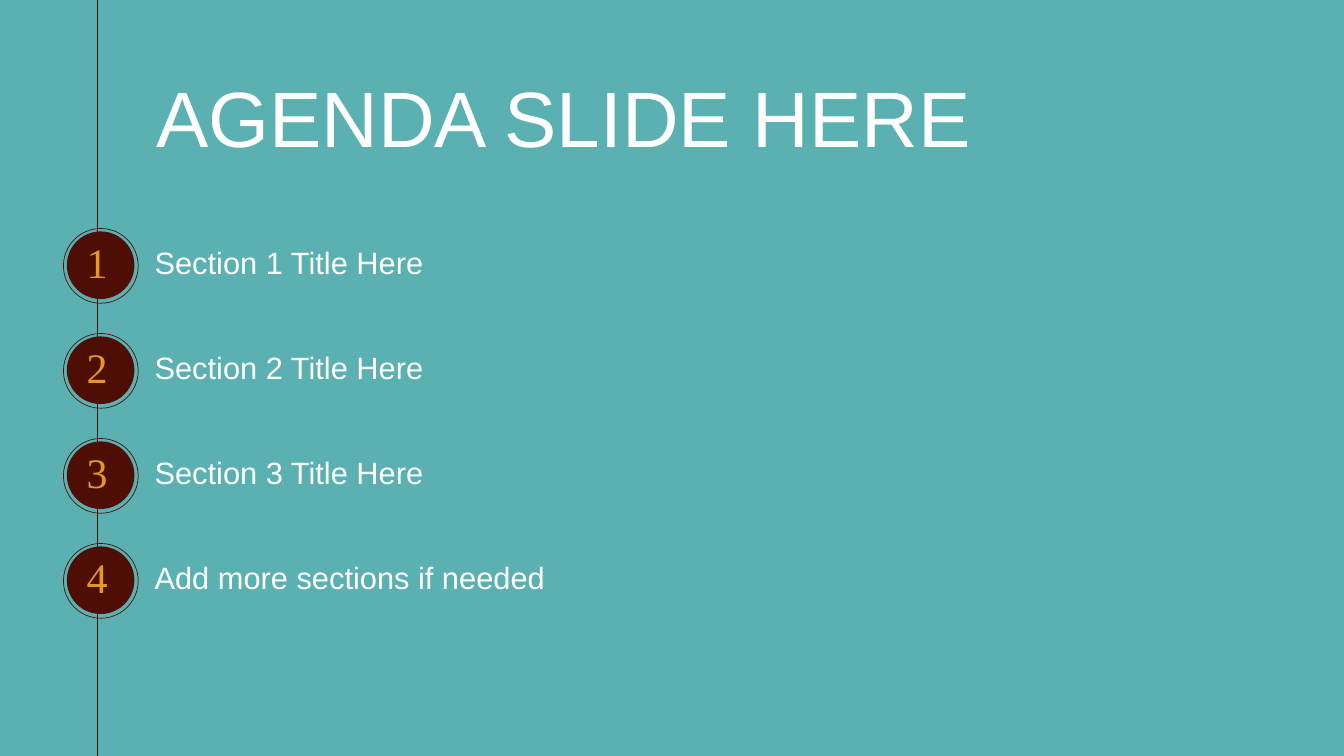
from dataclasses import dataclass

import pptx
import pptx.dml.color
import pptx.enum.shapes
import pptx.enum.text
import pptx.util
from lxml import etree
from pptx.oxml.ns import qn

EMU_PER_PX = 7620  # 120 px to the inch
SLIDE_WIDTH, SLIDE_HEIGHT = 3199, 1800
ROW_PITCH = 250
COLORS = {"teal": "5BB0B2", "maroon": "4E0E05", "amber": "E39920", "white": "FFFFFF"}
SHAPES = pptx.enum.shapes.MSO_SHAPE
ALIGN = pptx.enum.text.PP_ALIGN


@dataclass(frozen=True)
class Area:
    left: int
    top: int
    width: int
    height: int

    def lowered(self, distance: int) -> "Area":
        return Area(self.left, self.top + distance, self.width, self.height)

    def emu(self) -> list[int]:
        return [px(n) for n in (self.left, self.top, self.width, self.height)]


@dataclass(frozen=True)
class TextStyle:
    font: str
    size: int
    color: str
    align: ALIGN = ALIGN.LEFT
    inset: int = 0


BACKDROP = Area(-10, -17, 3220, 1835)
TITLE = Area(372, 155, 1997, 245)
SECTION = Area(368, 570, 2294, 108)
DISC = Area(159, 551, 161, 161)
NUMBER = Area(198, 546, 66, 156)
RING = Area(151, 544, 178, 178)

TITLE_STYLE = TextStyle("Arial", 112, "white")
SECTION_STYLE = TextStyle("Arial", 44, "white")
NUMBER_STYLE = TextStyle("Times New Roman", 60, "amber", ALIGN.CENTER, 7)

SECTIONS = [
    "Section 1 Title Here",
    "Section 2 Title Here",
    "Section 3 Title Here",
    "Add more sections if needed",
]


def px(length: int) -> int:
    return pptx.util.Emu(length * EMU_PER_PX)


def color(name: str) -> pptx.dml.color.RGBColor:
    return pptx.dml.color.RGBColor.from_string(COLORS[name])


def add_filled(shapes, kind: SHAPES, area: Area, fill: str) -> None:
    shape = shapes.add_shape(kind, *area.emu())
    shape.shadow.inherit = False
    shape.fill.solid()
    shape.fill.fore_color.rgb = color(fill)
    shape.line.fill.background()


def add_ring(shapes, area: Area) -> None:
    ring = shapes.add_shape(SHAPES.OVAL, *area.emu())
    ring.shadow.inherit = False
    ring.fill.background()
    ring.line.color.rgb = color("maroon")
    ring.line.width = pptx.util.Pt(1)


def add_text(shapes, area: Area, text: str, style: TextStyle) -> None:
    frame = shapes.add_textbox(*area.emu()).text_frame
    frame.word_wrap = True
    frame.vertical_anchor = pptx.enum.text.MSO_ANCHOR.MIDDLE
    frame.margin_left = frame.margin_right = px(style.inset)
    frame.margin_top = frame.margin_bottom = px(style.inset)
    para = frame.paragraphs[0]
    para.text = text
    para.alignment = style.align
    para.font.name = style.font
    para.font.size = pptx.util.Pt(style.size)
    para.font.color.rgb = color(style.color)


def add_timeline(shapes) -> None:
    line = shapes.add_connector(
        pptx.enum.shapes.MSO_CONNECTOR.STRAIGHT, px(232), px(-53), px(232), px(1853)
    )
    line.line.color.rgb = color("maroon")
    line.line.width = pptx.util.Pt(2)
    etree.SubElement(line._element.spPr, qn("a:effectLst"))


def add_badge(shapes, number: int, drop: int) -> None:
    """Group a numbered disc with the thin ring around it."""
    badge = shapes.add_group_shape().shapes
    add_filled(badge, SHAPES.OVAL, DISC.lowered(drop), "maroon")
    add_text(badge, NUMBER.lowered(drop), str(number), NUMBER_STYLE)
    add_ring(badge, RING.lowered(drop))


def main() -> None:
    deck = pptx.Presentation()
    deck.slide_width, deck.slide_height = px(SLIDE_WIDTH), px(SLIDE_HEIGHT)
    page = deck.slides.add_slide(deck.slide_layouts[6])
    shapes = page.shapes

    add_filled(shapes, SHAPES.RECTANGLE, BACKDROP, "teal")
    add_text(shapes, TITLE, "AGENDA SLIDE HERE", TITLE_STYLE)
    add_timeline(shapes)
    for row, section in enumerate(SECTIONS):
        drop = row * ROW_PITCH
        add_badge(shapes, row + 1, drop)
        add_text(shapes, SECTION.lowered(drop), section, SECTION_STYLE)

    deck.save("out.pptx")


if __name__ == "__main__":
    main()
